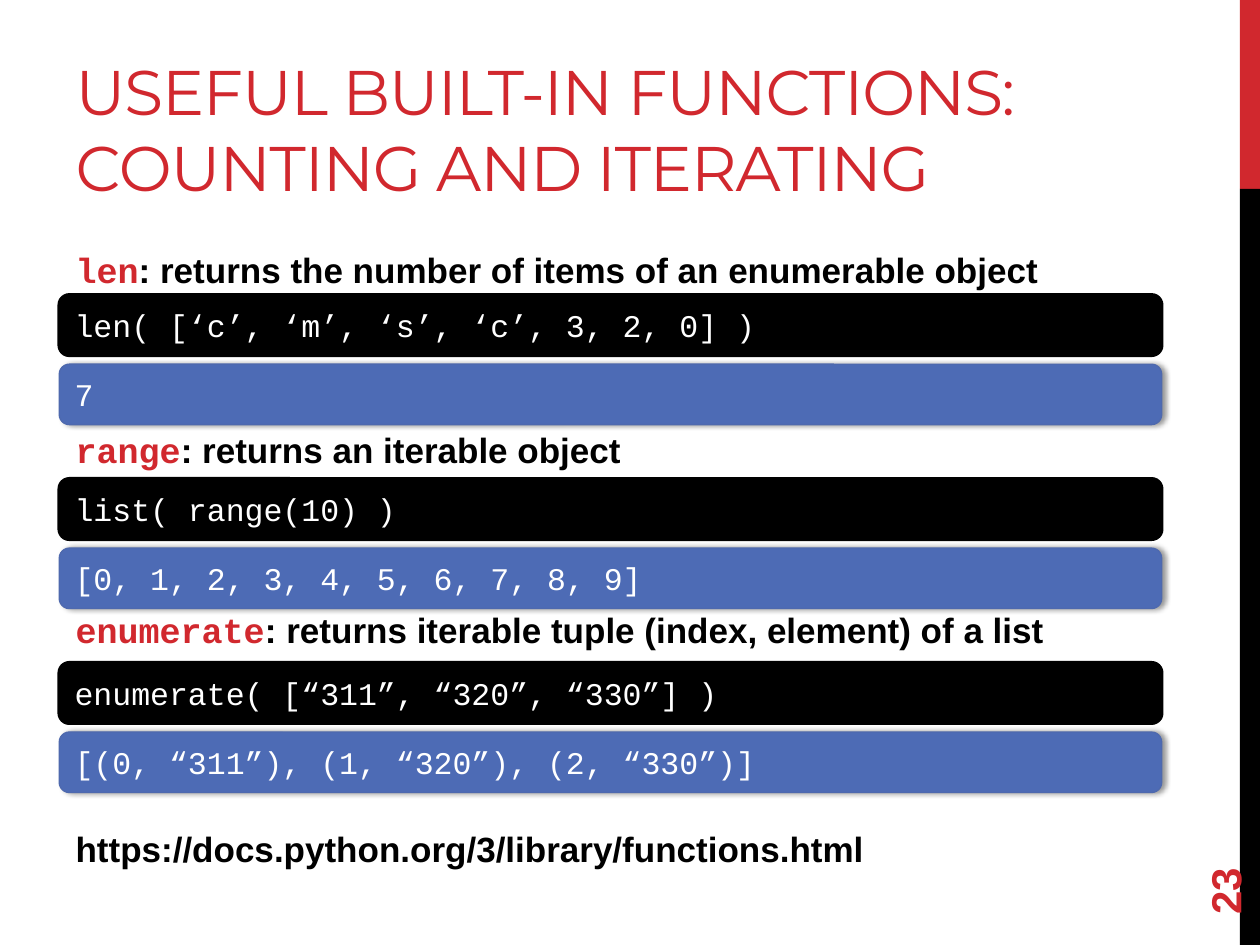
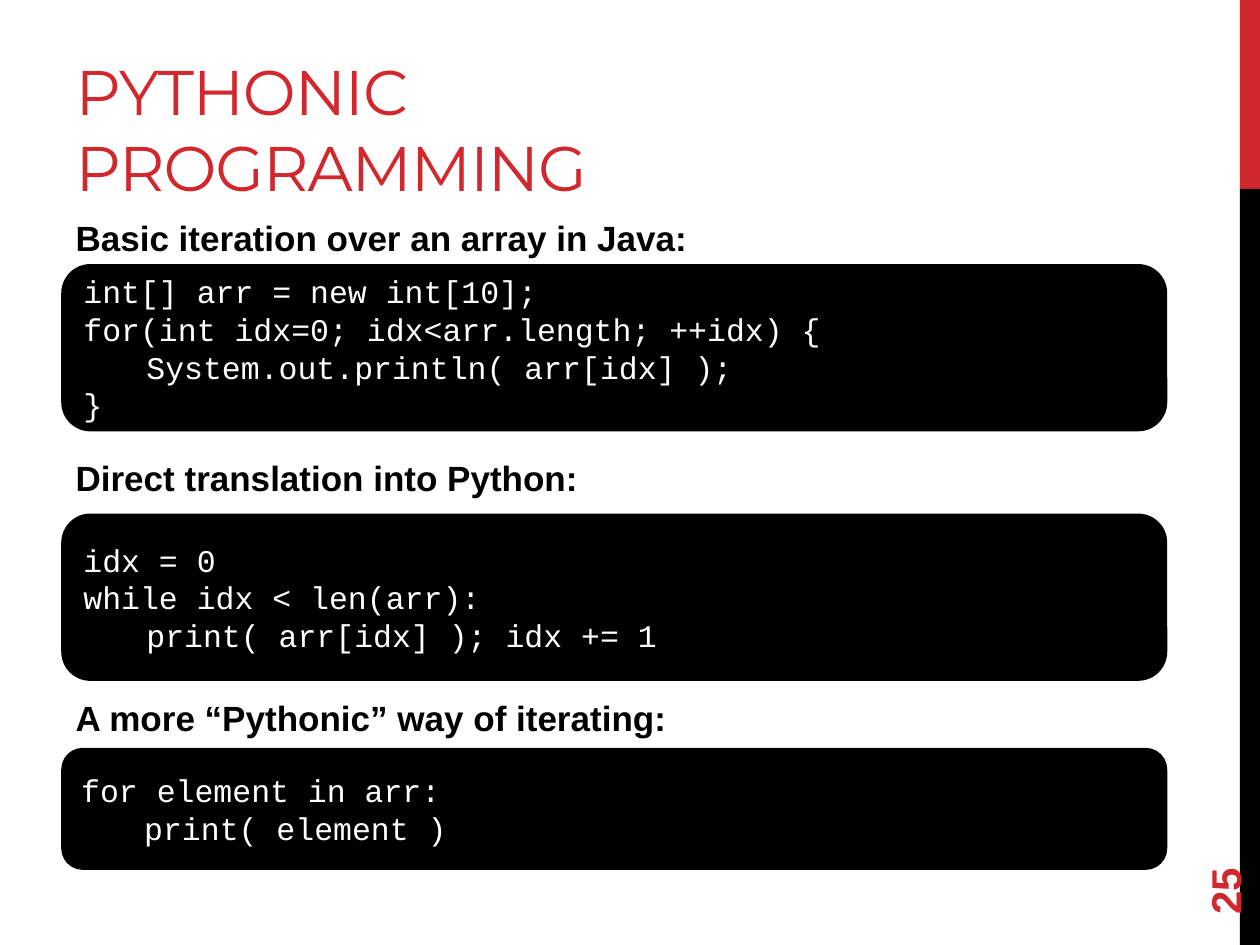
from pptx import Presentation
from pptx.dml.color import RGBColor
from pptx.enum.shapes import MSO_SHAPE
from pptx.enum.text import MSO_ANCHOR, MSO_AUTO_SIZE, PP_ALIGN
from pptx.oxml import parse_xml
from pptx.oxml.ns import nsdecls
from pptx.util import Inches, Pt
from lxml.etree import SubElement
from dataclasses import dataclass


# ---- Content ----
# A heading is (keyword, text, points from the line above).
# A code box is (kind, top, height, lines).
FIRST_CODE, EXAMPLE_STEP, RESULT_STEP, ROW_HEIGHT = 2.34, 1.46, 0.55, 0.48
EXAMPLES = [
    ("len( [‘c’, ‘m’, ‘s’, ‘c’, 3, 2, 0] )", "7"),
    ("list( range(10) )", "[0, 1, 2, 3, 4, 5, 6, 7, 8, 9]"),
    ("enumerate( [“311”, “320”, “330”] )",
     "[(0, “311”), (1, “320”), (2, “330”)]"),
]

PAGES = [
    {
        "number": "23",
        "title": "USEFUL BUILT-IN FUNCTIONS: COUNTING AND ITERATING",
        "title_width": 8.19,
        "body": (1.92, 5.36),
        "headings": [
            ("len", ": returns the number of items of an enumerable object", 0),
            ("range", ": returns an iterable object", 102),
            ("enumerate",
             ": returns iterable tuple (index, element) of a list", 102),
            ("", "https://docs.python.org/3/library/functions.html", 124),
        ],
        "boxes": [
            (kind, FIRST_CODE + row * EXAMPLE_STEP + step * RESULT_STEP,
             ROW_HEIGHT, [example[step]])
            for row, example in enumerate(EXAMPLES)
            for step, kind in enumerate(("code", "result"))
        ],
        "box_left": 0.47,
    },
    {
        "number": "25",
        "title": "PYTHONIC PROGRAMMING",
        "title_width": 6.33,
        "body": (1.67, 4.78),
        "headings": [
            ("", "Basic iteration over an array in Java:", 0),
            ("", "Direct translation into Python:", 136),
            ("", "A more “Pythonic” way of iterating:", 136),
        ],
        "boxes": [
            ("code", 2.11, 1.3, [
                "int[] arr = new int[10];",
                "for(int idx=0; idx<arr.length; ++idx) {",
                "\tSystem.out.println( arr[idx] );",
                "}",
            ]),
            ("code", 4.09, 1.3, [
                "idx = 0",
                "while idx < len(arr):",
                "\tprint( arr[idx] ); idx += 1",
            ]),
            ("code", 5.95, 0.94, [
                "for element in arr:",
                "\tprint( element )",
            ]),
        ],
        "box_left": 0.5,
    },
]


# ---- Theme ----
@dataclass(frozen=True)
class Theme:
    red: str = "D1282E"
    black: str = "000000"
    white: str = "FFFFFF"
    blue: str = "4D6BB5"
    blue_edge: str = "4E69AE"
    title_font: str = "Montserrat"
    body_font: str = "Arial"
    code_font: str = "Courier New"
    title_size: int = 36
    number_size: int = 24
    body_size: int = 20
    code_size: int = 18
    body_line: int = 23
    corner: float = 0.167


THEME = Theme()
WIDTH, HEIGHT = 10, 7.5
MARGIN, BODY_WIDTH, BOX_WIDTH = 0.5, 8.33, 8.75
BAND_LEFT, BAND_SPLIT = 0.984, 0.2  # shares of the slide's width and height

TITLE = {"name": THEME.title_font, "size": Pt(THEME.title_size),
         "bold": False, "color": THEME.red}
BODY = {"name": THEME.body_font, "size": Pt(THEME.body_size),
        "bold": True, "color": THEME.black}
KEYWORD = BODY | {"name": THEME.code_font, "color": THEME.red}
CODE = {"name": THEME.code_font, "size": Pt(THEME.code_size),
        "bold": False, "color": THEME.white}
NUMBER = BODY | {"size": Pt(THEME.number_size), "color": THEME.red}

# Fill, line, line width and shadow of each kind of box
BOX_STYLES = {
    "code": (THEME.black, THEME.black, 2, False),
    "result": (THEME.blue, THEME.blue_edge, 0.75, True),
}
SHADOW = (
    f'<a:effectLst {nsdecls("a")}>'
    f'<a:outerShdw blurRad="{Pt(3.1)}" dist="{Pt(1.8)}" dir="0">'
    f'<a:srgbClr val="{THEME.black}"><a:alpha val="40000"/></a:srgbClr>'
    '</a:outerShdw></a:effectLst>'
)


# ---- Helpers ----
def add_span(para, text, style):
    span = para.add_run()
    span.text = text
    for name, value in style.items():
        if name == "color":
            span.font.color.rgb = RGBColor.from_string(value)
        else:
            setattr(span.font, name, value)
    return span


def place(shape, left, top, width, height):
    frame = {"left": left, "top": top, "width": width, "height": height}
    for name, value in frame.items():
        setattr(shape, name, Inches(value))


def set_frame(shape, anchor):
    settings = {"word_wrap": True, "auto_size": MSO_AUTO_SIZE.NONE,
                "vertical_anchor": anchor}
    for name, value in settings.items():
        setattr(shape.text_frame, name, value)
    return shape.text_frame


def next_para(frame, index):
    para = frame.add_paragraph() if index else frame.paragraphs[0]
    para.alignment = PP_ALIGN.LEFT
    return para


def add_box(page, preset, bounds, fill):
    box = page.shapes.add_shape(preset, *map(Inches, bounds))
    box.shadow.inherit = False
    box.fill.solid()
    box.fill.fore_color.rgb = RGBColor.from_string(fill)
    box.line.fill.background()
    return box


# ---- Parts of a page ----
def add_bands(page):
    left, split = WIDTH * BAND_LEFT, HEIGHT * BAND_SPLIT
    bands = [(0, split, THEME.red), (split, HEIGHT - split, THEME.black)]
    for top, height, color in bands:
        add_box(page, MSO_SHAPE.RECTANGLE,
                (left, top, WIDTH - left, height), color)


def add_title(page, text, width):
    title = page.shapes.title
    place(title, MARGIN, 0.17, width, 1.5)
    para = next_para(set_frame(title, MSO_ANCHOR.BOTTOM), 0)
    span = add_span(para, text, TITLE)
    span.font._element.set("spc", "-60")


def add_headings(page, headings, top, height):
    body = page.placeholders[1]
    place(body, MARGIN, top, BODY_WIDTH, height)
    frame = set_frame(body, MSO_ANCHOR.TOP)
    for index, (keyword, text, pitch) in enumerate(headings):
        para = next_para(frame, index)
        para.space_before = Pt(max(pitch - THEME.body_line, 0))
        para.space_after = Pt(0)
        properties = para._p.get_or_add_pPr()
        properties.set("marL", "0")
        properties.set("indent", "0")
        SubElement(properties, properties.tag.replace("pPr", "buNone"))
        if keyword:
            add_span(para, keyword, KEYWORD)
        add_span(para, text, BODY)


def add_code(page, left, kind, top, height, lines):
    fill, edge, edge_width, shadowed = BOX_STYLES[kind]
    box = add_box(page, MSO_SHAPE.ROUNDED_RECTANGLE,
                  (left, top, BOX_WIDTH, height), fill)
    box.adjustments[0] = THEME.corner
    box.line.color.rgb = RGBColor.from_string(edge)
    box.line.width = Pt(edge_width)
    if shadowed:
        effects = box._element.spPr.find(
            "{http://schemas.openxmlformats.org/drawingml/2006/main}effectLst")
        effects.getparent().replace(effects, parse_xml(SHADOW))
    frame = set_frame(box, MSO_ANCHOR.MIDDLE)
    for index, line in enumerate(lines):
        add_span(next_para(frame, index), line, CODE)


def add_number(page, number):
    box = page.shapes.add_textbox(*map(Inches, (9, 6.44, 1.44, 0.4)))
    box.rotation = 270
    frame = set_frame(box, MSO_ANCHOR.MIDDLE)
    add_span(next_para(frame, 0), number, NUMBER)


def main():
    deck = Presentation()
    deck.slide_width, deck.slide_height = Inches(WIDTH), Inches(HEIGHT)
    for content in PAGES:
        page = deck.slides.add_slide(deck.slide_layouts[1])
        add_bands(page)
        add_title(page, content["title"], content["title_width"])
        add_headings(page, content["headings"], *content["body"])
        for box in content["boxes"]:
            add_code(page, content["box_left"], *box)
        add_number(page, content["number"])
    deck.save("out.pptx")


if __name__ == "__main__":
    main()
